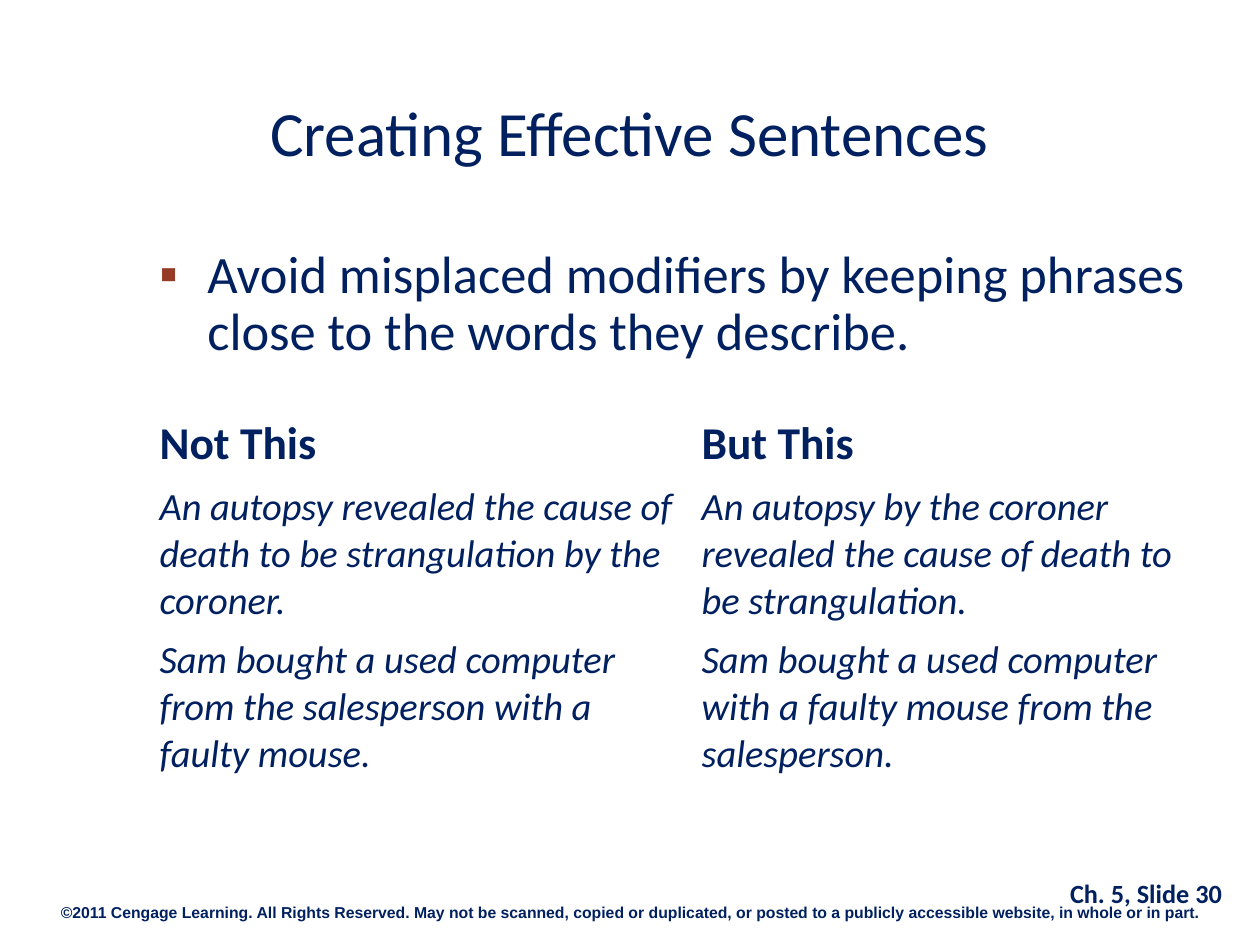
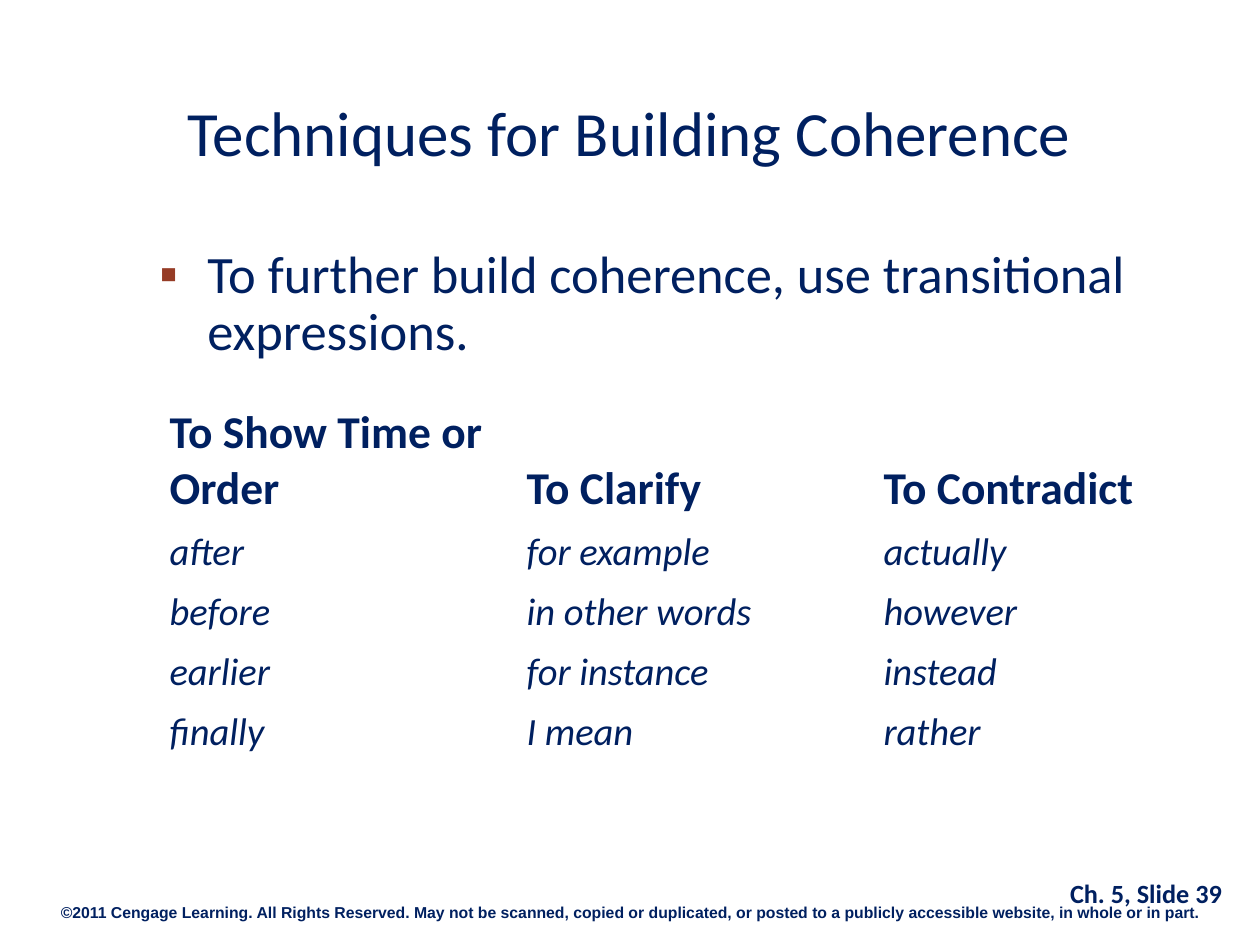
from dataclasses import dataclass

from lxml import etree
from pptx import Presentation
from pptx.dml.color import RGBColor
from pptx.enum.text import MSO_ANCHOR, PP_ALIGN
from pptx.oxml.ns import qn
from pptx.util import Pt

LEFT, CENTER = PP_ALIGN.LEFT, PP_ALIGN.CENTER
TOP, MIDDLE, BOTTOM = MSO_ANCHOR.TOP, MSO_ANCHOR.MIDDLE, MSO_ANCHOR.BOTTOM

COPYRIGHT = ("©2011 Cengage Learning. All Rights Reserved. May not be scanned, copied or "
             "duplicated, or posted to a publicly accessible website, in whole or in part.")
SLIDES = [
    dict(
        number=30,
        title="Creating Effective Sentences",
        point="Avoid misplaced modifiers by keeping phrases close to the words they describe.",
        table_at=(147, 410), col_width=542, row_heights=(68, 153, 153),
        rows=[
            ("Not This", "But This"),
            ("An autopsy revealed the cause of death to be strangulation by the coroner.",
             "An autopsy by the coroner revealed the cause of death to be strangulation."),
            ("Sam bought a used computer from the salesperson with a faulty mouse.",
             "Sam bought a used computer with a faulty mouse from the salesperson."),
        ],
    ),
    dict(
        number=39,
        title="Techniques for Building Coherence",
        point="To further build coherence, use transitional expressions.",
        table_at=(157, 399), col_width=357, row_heights=(124, 60, 60, 60, 60),
        rows=[
            ("To Show Time or Order", "To Clarify", "To Contradict"),
            ("after", "for example", "actually"),
            ("before", "in other words", "however"),
            ("earlier", "for instance", "instead"),
            ("finally", "I mean", "rather"),
        ],
    ),
]


@dataclass(frozen=True)
class Theme:
    ink: RGBColor = RGBColor(0x00, 0x20, 0x60)
    bullet: str = "963C26"
    font: str = "Calibri"
    legal_font: str = "Arial"
    title: int = 36
    point: int = 30
    heading: int = 26
    example: int = 22
    number: int = 15
    legal: int = 9


THEME = Theme()
SLIDE_SIZE = (1260, 945)
TITLE_BOX = (31, 73, 1197, 126)
POINT_BOX = (147, 242, 1081, 588)
NUMBER_BOX = (1031, 882, 230, 42)
LEGAL_BOX = (0, 903, 1260, 25)
POINT_INDENT = 48


def px(n):
    return round(n * 914400 / 126)


def style(p, text, size, font=THEME.font, bold=False, italic=False, align=LEFT, spacing=1.0):
    p.text = text
    p.alignment = align
    p.line_spacing = spacing
    f = p.font
    f.name, f.size, f.bold, f.italic = font, Pt(size), bold, italic
    f.color.rgb = THEME.ink


def add_text(s, box, text, size, anchor=TOP, **look):
    tf = s.shapes.add_textbox(*map(px, box)).text_frame
    tf.word_wrap = True
    tf.vertical_anchor = anchor
    p = tf.paragraphs[0]
    style(p, text, size, **look)
    return p


def add_bullet(p):
    pPr = p._p.get_or_add_pPr()
    pPr.set("marL", str(px(POINT_INDENT)))
    pPr.set("indent", str(-px(POINT_INDENT)))
    colour = etree.Element(qn("a:buClr"))
    etree.SubElement(colour, qn("a:srgbClr"), val=THEME.bullet)
    font = etree.Element(qn("a:buFont"), typeface=THEME.legal_font)
    char = etree.Element(qn("a:buChar"), char="▪")
    # Bullet elements belong between the line spacing and the run defaults.
    defaults = pPr.find(qn("a:defRPr"))
    for element in (colour, font, char):
        defaults.addprevious(element)


def add_examples(s, rows, table_at, col_width, row_heights):
    size = (col_width * len(rows[0]), sum(row_heights))
    table = s.shapes.add_table(len(rows), len(rows[0]), *map(px, table_at + size)).table
    table.first_row = table.horz_banding = False
    for col in table.columns:
        col.width = px(col_width)
    for i, (row, height) in enumerate(zip(rows, row_heights)):
        table.rows[i].height = px(height)
        header = i == 0
        for cell, text in zip(table.rows[i].cells, row):
            cell.fill.background()
            cell.vertical_anchor = BOTTOM if header else TOP
            style(cell.text_frame.paragraphs[0], text,
                  THEME.heading if header else THEME.example,
                  bold=header, italic=not header)


def add_slide(prs, number, title, point, **examples):
    s = prs.slides.add_slide(prs.slide_layouts[6])
    add_text(s, LEGAL_BOX, COPYRIGHT, THEME.legal, font=THEME.legal_font,
             bold=True, align=CENTER, spacing=0.6)
    add_text(s, NUMBER_BOX, f"Ch. 5, Slide {number}", THEME.number,
             bold=True, align=CENTER, spacing=0.6)
    add_bullet(add_text(s, POINT_BOX, point, THEME.point, spacing=0.9))
    add_text(s, TITLE_BOX, title, THEME.title, anchor=MIDDLE, align=CENTER, spacing=0.9)
    add_examples(s, **examples)


def main():
    prs = Presentation()
    prs.slide_width, prs.slide_height = map(px, SLIDE_SIZE)
    for content in SLIDES:
        add_slide(prs, **content)
    prs.save("out.pptx")


if __name__ == "__main__":
    main()
